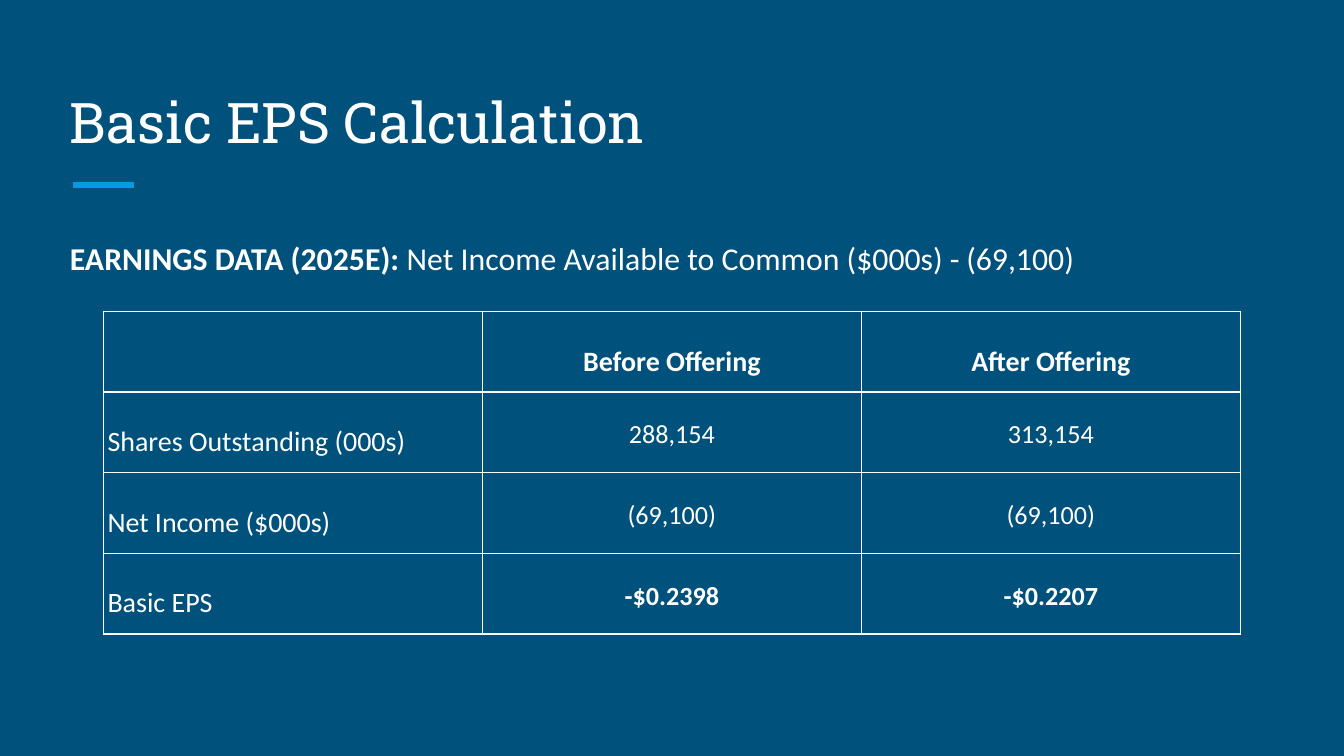
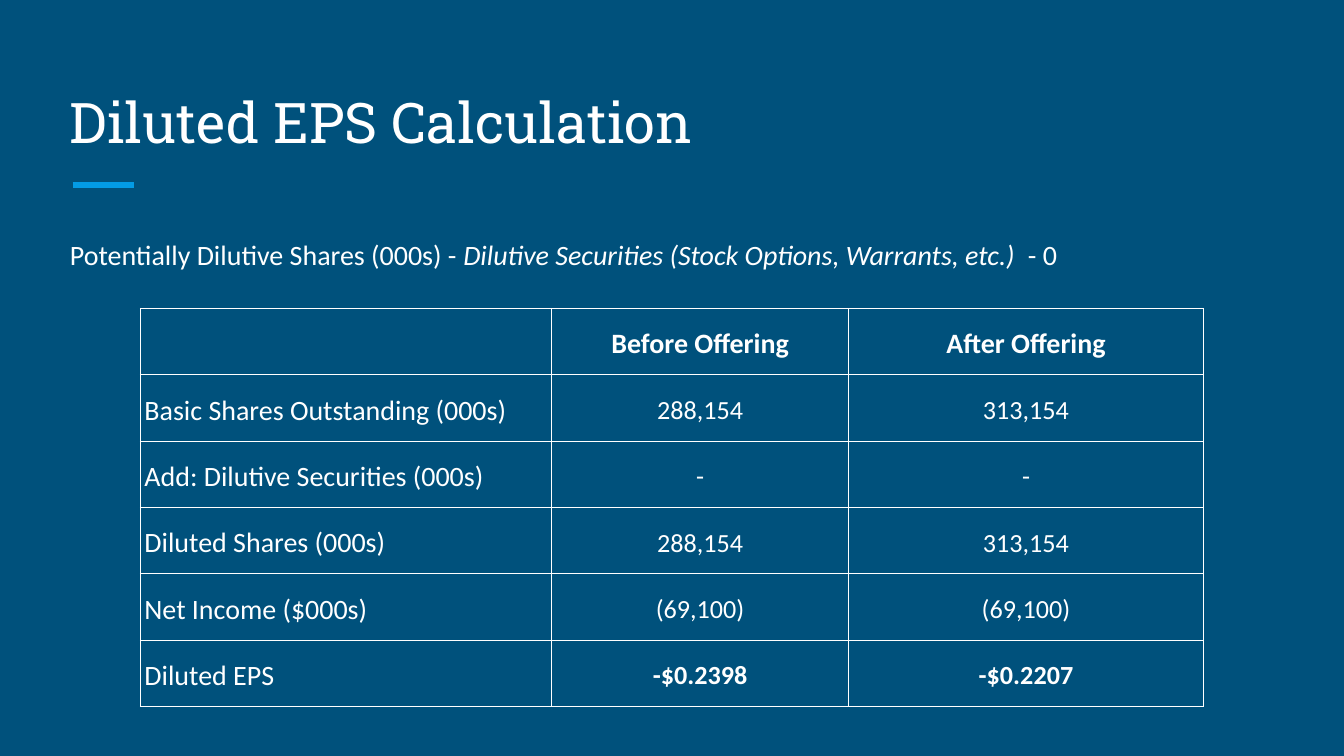
from lxml import etree
from pptx import Presentation
from pptx.dml.color import RGBColor
from pptx.enum import shapes, text
from pptx.oxml import ns
from pptx import util as u

WIDTH, HEIGHT = u.Inches(10), u.Inches(5.625)
NAVY, SKY, WHITE = "00517C", "039BE5", "FFFFFF"
HEADING_FONT, BODY_FONT = "Roboto Slab", "Calibri"
LEFT, SPAN = 0.042, 0.915  # shares of the slide's width
LINE_SPACING = 1.15
HEADERS = ["", "Before Offering", "After Offering"]
SHARES = ["288,154", "313,154"]
INCOME = ["Net Income ($000s)", "(69,100)", "(69,100)"]
EPS = ["-$0.2398", "-$0.2207"]


def color(value):
    return RGBColor.from_string(value)


def style(font, size, name=BODY_FONT, bold=None):
    font.name, font.size, font.bold = name, u.Pt(size), bold
    font.color.rgb = color(WHITE)


def place(box, top, height, anchor):
    """Move a placeholder to the shared text column."""
    box.left, box.width = int(WIDTH * LEFT), int(WIDTH * SPAN)
    box.top, box.height = int(HEIGHT * top), int(HEIGHT * height)
    frame = box.text_frame
    frame.auto_size = text.MSO_AUTO_SIZE.NONE
    frame.vertical_anchor = anchor
    frame.margin_left = frame.margin_right = u.Inches(0.1)
    frame.margin_top = frame.margin_bottom = u.Inches(0.1)
    para = frame.paragraphs[0]
    para.alignment = text.PP_ALIGN.LEFT
    return para


def add_accent(page):
    y = int(HEIGHT * 0.245)
    line = page.shapes.add_connector(shapes.MSO_CONNECTOR.STRAIGHT,
                                     int(WIDTH * 0.054), y, int(WIDTH * 0.1), y)
    line.line.color.rgb = color(SKY)
    line.line.width = u.Pt(3)
    etree.SubElement(line._element.spPr, ns.qn("a:effectLst"))


def add_page(deck, title):
    page = deck.slides.add_slide(deck.slide_layouts[1])
    add_accent(page)
    para = place(page.shapes.title, 0.089, 0.133, text.MSO_ANCHOR.BOTTOM)
    para.text = title
    style(para.font, 30, HEADING_FONT)
    return page


def add_lead(page, size, spans):
    """Fill the body with one unbulleted line of (words, settings) spans."""
    para = place(page.placeholders[1], 0.29, 0.6, text.MSO_ANCHOR.TOP)
    para.line_spacing = LINE_SPACING
    para.space_before = u.Pt(0)
    properties = para._p.get_or_add_pPr()
    properties.set("marL", "0")
    properties.set("indent", "0")
    etree.SubElement(properties, ns.qn("a:buNone"))
    style(para.font, size)
    for words, settings in spans:
        span = para.add_run()
        span.text = words
        for key, value in settings.items():
            setattr(span.font, key, value)


def add_borders(cell):
    properties = cell._tc.get_or_add_tcPr()
    for index, side in enumerate(("lnL", "lnR", "lnT", "lnB")):
        line = etree.Element(ns.qn(f"a:{side}"), w=str(u.Pt(0.75)))
        fill = etree.SubElement(line, ns.qn("a:solidFill"))
        etree.SubElement(fill, ns.qn("a:srgbClr"), val=WHITE)
        properties.insert(index, line)


def format_cell(cell, words, is_label, is_header, bold):
    is_value = not (is_label or is_header)
    cell.margin_left = cell.margin_right = u.Inches(0.03)
    cell.margin_top = cell.margin_bottom = u.Inches(0.1 if words else 0)
    cell.vertical_anchor = (text.MSO_ANCHOR.MIDDLE if is_value
                            else text.MSO_ANCHOR.BOTTOM)
    if is_value:
        cell.fill.solid()
        cell.fill.fore_color.rgb = color(NAVY)
    else:
        cell.fill.background()
    add_borders(cell)
    para = cell.text_frame.paragraphs[0]
    para.text = words
    para.alignment = text.PP_ALIGN.LEFT if is_label else text.PP_ALIGN.CENTER
    para.line_spacing = LINE_SPACING
    style(para.font, 14 if is_value else 15, bold=bold)


def add_eps_table(page, top, widths, row_height, rows):
    """Add a table centred on the page; its last row holds the result."""
    rows = [HEADERS] + rows
    widths = [u.Inches(width) for width in widths]
    total = sum(widths)
    table = page.shapes.add_table(len(rows), len(widths), (WIDTH - total) // 2,
                                  int(HEIGHT * top), total,
                                  u.Inches(row_height * len(rows))).table
    table.first_row = table.horz_banding = False
    for column, width in zip(table.columns, widths):
        column.width = width
    for r, row in enumerate(rows):
        table.rows[r].height = u.Inches(row_height)
        for c, words in enumerate(row):
            bold = r == 0 or (r == len(rows) - 1 and c > 0)
            format_cell(table.cell(r, c), words, c == 0, r == 0, bold)


def main():
    deck = Presentation()
    deck.slide_width, deck.slide_height = WIDTH, HEIGHT
    background = deck.slide_master.background.fill
    background.solid()
    background.fore_color.rgb = color(NAVY)

    # Basic EPS
    page = add_page(deck, "Basic EPS Calculation")
    add_lead(page, 17, [
        ("EARNINGS DATA (2025E): ", {"bold": True}),
        ("Net Income Available to Common ($000s) -", {}),
        (" ", {"size": u.Pt(14)}),
        ("(69,100)", {}),
    ])
    add_eps_table(page, 0.412, [2.82] * 3, 0.6, [
        ["Shares Outstanding (000s)"] + SHARES,
        INCOME,
        ["Basic EPS"] + EPS,
    ])

    # Diluted EPS
    page = add_page(deck, "Diluted EPS Calculation")
    add_lead(page, 15, [
        ("Potentially Dilutive Shares (000s) - ", {}),
        ("Dilutive Securities (Stock Options, Warrants, etc.) ", {"italic": True}),
        (" - 0", {}),
    ])
    add_eps_table(page, 0.408, [3.06, 2.21, 2.64], 0.49, [
        ["Basic Shares Outstanding (000s)"] + SHARES,
        ["Add: Dilutive Securities (000s)", "-", "-"],
        ["Diluted Shares (000s)"] + SHARES,
        INCOME,
        ["Diluted EPS"] + EPS,
    ])
    deck.save("out.pptx")


if __name__ == "__main__":
    main()
